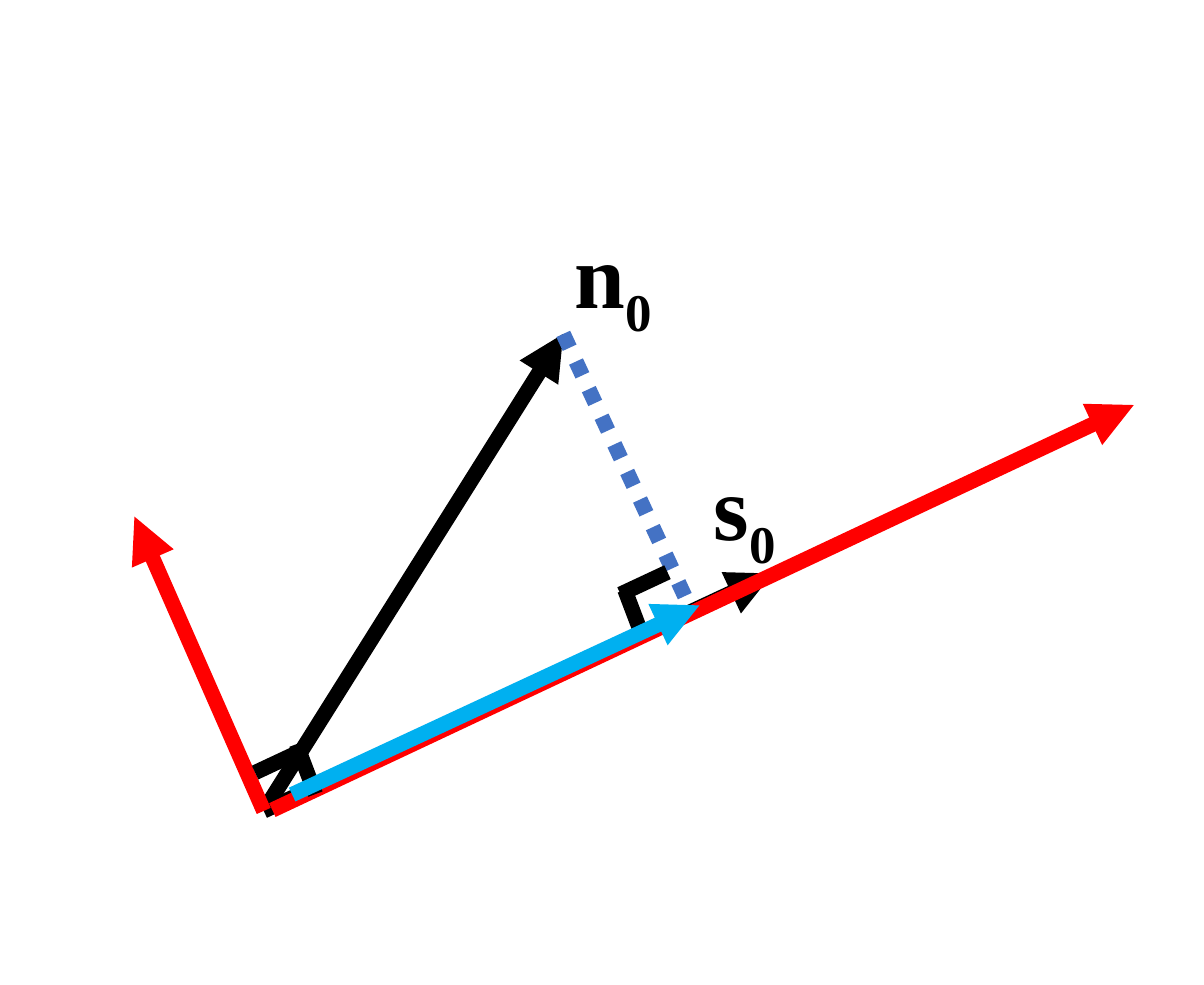
from dataclasses import dataclass

from lxml.etree import SubElement
from pptx import Presentation
from pptx.dml.color import RGBColor as Color
from pptx.enum.dml import MSO_LINE_DASH_STYLE as Dash
from pptx.enum.shapes import MSO_CONNECTOR as Connector
from pptx.enum.text import MSO_AUTO_SIZE as AutoSize
from pptx.oxml.ns import qn
from pptx.util import Cm, Pt


@dataclass(frozen=True)
class Theme:
    black: Color = Color(0x00, 0x00, 0x00)
    red: Color = Color(0xFF, 0x00, 0x00)
    sky: Color = Color(0x00, 0xB0, 0xF0)
    blue: Color = Color(0x44, 0x72, 0xC4)
    font: str = "Times New Roman"
    label_size: Pt = Pt(60)
    stroke: Pt = Pt(10)


class Diagram:
    def __init__(self, page, theme):
        self.page = page
        self.theme = theme

    def line(self, start, end, color):
        ends = [Cm(value) for value in (*start, *end)]
        connector = self.page.shapes.add_connector(Connector.STRAIGHT, *ends)
        connector.line.color.rgb = color
        connector.line.width = self.theme.stroke
        SubElement(connector.element.spPr, qn("a:effectLst"))
        return connector

    def arrow(self, start, end, color):
        connector = self.line(start, end, color)
        outline = connector.line._get_or_add_ln()
        SubElement(outline, qn("a:tailEnd"), type="triangle")

    def dotted(self, start, end, color):
        self.line(start, end, color).line.dash_style = Dash.ROUND_DOT

    def right_angle(self, arm, leg):
        for (x, y), (dx, dy) in ((arm, (1.09, -0.51)), (leg, (0.44, 1.16))):
            self.line((x, y), (x + dx, y + dy), self.theme.black)

    def label(self, letter, index, left, top, width):
        box = self.page.shapes.add_textbox(Cm(left), Cm(top), Cm(width), Cm(2.82))
        frame = box.text_frame
        frame.word_wrap = False
        frame.auto_size = AutoSize.SHAPE_TO_FIT_TEXT
        para = frame.paragraphs[0]
        para.font.name = self.theme.font
        para.font.size = self.theme.label_size
        para.font.bold = True
        para.font.color.rgb = self.theme.black
        para.add_run().text = letter
        span = para.add_run()
        span.text = index
        span._r.get_or_add_rPr().set("baseline", "-25000")


def main():
    deck = Presentation()
    deck.slide_width, deck.slide_height = Cm(27.94), Cm(22.86)
    page = deck.slides.add_slide(deck.slide_layouts[6])
    theme = Theme()
    diagram = Diagram(page, theme)
    origin = (6.12, 18.82)
    normal_tip = (13.07, 7.75)

    diagram.arrow(origin, (17.93, 13.31), theme.black)
    diagram.arrow(origin, normal_tip, theme.black)
    diagram.label("n", "0", 13.08, 4.93, 2.41)
    diagram.dotted(normal_tip, (16, 14.07), theme.blue)
    diagram.arrow(origin, (3.12, 11.99), theme.red)
    diagram.right_angle((14.4, 13.79), (14.5, 13.69))
    diagram.arrow((6.32, 18.8), (26.31, 9.4), theme.red)
    diagram.right_angle((5.92, 17.93), (6.88, 17.27))
    diagram.arrow((6.78, 18.44), (16.23, 14.05), theme.sky)
    diagram.label("s", "0", 16.31, 10.31, 2.06)

    deck.save("out.pptx")


if __name__ == "__main__":
    main()
